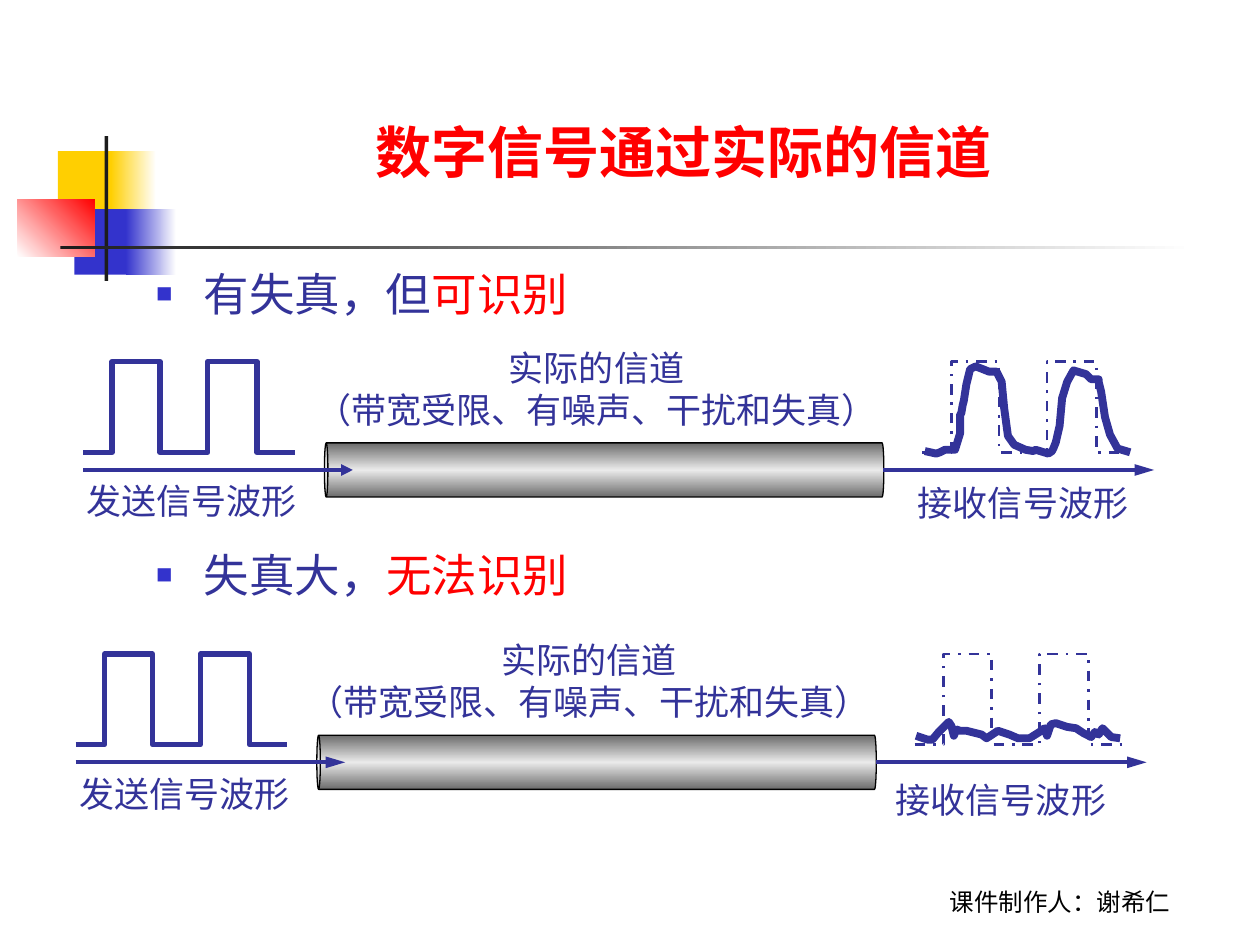
from lxml import etree
from pptx import Presentation
from pptx.dml.color import RGBColor
from pptx.enum.dml import MSO_LINE
from pptx.enum.shapes import MSO_CONNECTOR, MSO_SHAPE
from pptx.enum.text import MSO_ANCHOR, PP_ALIGN
from pptx.oxml.ns import qn
from pptx.util import Pt

PX = 9144
RECT, CAN = MSO_SHAPE.RECTANGLE, MSO_SHAPE.CAN
STRAIGHT, DASH_DOT = MSO_CONNECTOR.STRAIGHT, MSO_LINE.DASH_DOT
LEFT, CENTER = PP_ALIGN.LEFT, PP_ALIGN.CENTER
BOTTOM, TOP = MSO_ANCHOR.BOTTOM, MSO_ANCHOR.TOP

YELLOW = RGBColor(0xFF, 0xCF, 0x01)
BLUE = RGBColor(0x33, 0x33, 0xCC)
INDIGO = RGBColor(0x33, 0x33, 0x99)
RED = RGBColor(0xFF, 0x00, 0x00)
INK = RGBColor(0x1C, 0x1C, 0x1C)
BLACK = RGBColor(0x00, 0x00, 0x00)
WHITE = RGBColor(0xFF, 0xFF, 0xFF)
STEEL = RGBColor(0x6C, 0x6C, 0x6C)
SHINE = RGBColor(0xEA, 0xEA, 0xEA)

PULSES = [(0, 72), (23, 72), (23, 0), (61, 0), (61, 72), (99, 72),
          (99, 0), (138, 0), (138, 72), (168, 72)]
READABLE_WAVE = [
    (2, 71), (11, 73), (14, 72), (18, 70), (26, 70), (30, 57), (30, 42), (31, 41),
    (32, 35), (33, 31), (35, 18), (38, 6), (42, 4), (43, 4), (53, 8), (59, 8),
    (63, 16), (65, 37), (68, 59), (73, 66), (82, 70), (88, 71), (90, 70), (100, 73),
    (103, 71), (104, 69), (106, 64), (109, 51), (111, 29), (115, 16), (120, 7),
    (130, 10), (134, 14), (140, 14), (140, 16), (142, 24), (145, 44), (149, 58),
    (155, 69), (165, 72)]
LOST_WAVE = [
    (1, 65), (10, 68), (14, 68), (19, 62), (27, 54), (29, 57), (31, 65), (33, 60),
    (36, 61), (41, 61), (53, 64), (57, 67), (66, 61), (75, 64), (82, 67), (91, 67),
    (99, 62), (103, 59), (105, 65), (108, 56), (112, 55), (121, 58), (128, 59),
    (134, 63), (140, 66), (143, 62), (146, 64), (149, 59), (156, 66), (163, 67)]


def add_child(parent, tag, **attributes):
    """Append one DrawingML element and return it."""
    return etree.SubElement(parent, qn(tag), attributes)


def add_filled(page, kind, box, colors, angle=0):
    """Place a borderless shape with a solid or evenly stepped gradient fill."""
    shape = page.shapes.add_shape(kind, *(n * PX for n in box))
    shape.shadow.inherit = False
    shape.line.fill.background()
    shape.fill.solid()
    shape.fill.fore_color.rgb = colors[0]
    if len(colors) > 1:
        solid = shape._element.spPr.find(qn("a:solidFill"))
        gradient = etree.Element(qn("a:gradFill"), rotWithShape="0")
        stops = add_child(gradient, "a:gsLst")
        for index, color in enumerate(colors):
            position = index * 100000 // (len(colors) - 1)
            stop = add_child(stops, "a:gs", pos=str(position))
            add_child(stop, "a:srgbClr", val=str(color))
        add_child(gradient, "a:lin", ang=str(angle * 60000), scaled="0")
        solid.getparent().replace(solid, gradient)
    return shape


def add_span(para, text, size, font, color, bold=False):
    """Append one formatted run."""
    span = para.add_run()
    span.text = text
    span.font.size = Pt(size)
    span.font.name = font
    span.font.color.rgb = color
    span.font.bold = bold


def add_label(page, box, lines, size=20, font="Noto Sans CJK SC", color=INDIGO,
              align=CENTER, wrap=True, anchor=TOP):
    """Place a text box with one paragraph for each line."""
    frame = page.shapes.add_textbox(*(n * PX for n in box)).text_frame
    frame.word_wrap = wrap
    frame.vertical_anchor = anchor
    for index, line in enumerate(lines):
        para = frame.add_paragraph() if index else frame.paragraphs[0]
        para.alignment = align
        add_span(para, line, size, font, color)


def add_trace(page, left, top, points, weight, dash=None):
    """Draw an open signal trace from points relative to its corner."""
    placed = [((left + x) * PX, (top + y) * PX) for x, y in points]
    builder = page.shapes.build_freeform(*placed[0])
    builder.add_line_segments(placed[1:], close=False)
    trace = builder.convert_to_shape()
    trace.shadow.inherit = False
    trace.fill.background()
    trace.line.color.rgb = INDIGO
    trace.line.width = Pt(weight)
    if dash:
        trace.line.dash_style = dash


def add_arrow(page, left, top, length, head):
    """Draw a level arrow to the right with the given head length."""
    arrow = page.shapes.add_connector(
        STRAIGHT, left * PX, top * PX, (left + length) * PX, top * PX)
    arrow.line.color.rgb = INDIGO
    arrow.line.width = Pt(2.25)
    add_child(arrow.line._get_or_add_ln(), "a:tailEnd", type="triangle", w="med", len=head)
    add_child(arrow._element.spPr, "a:effectLst")


def add_ornament(page, left, top):
    """Place the coloured blocks and the crossed bars beside the title."""
    parts = [
        ((32, 12, 48, 52), [YELLOW], 0),
        ((74, 12, 36, 52), [YELLOW, WHITE], 0),
        ((45, 58, 46, 52), [BLUE], 0),
        ((86, 58, 40, 52), [BLUE, WHITE], 0),
        ((0, 50, 61, 46), [WHITE, RED], 315),
        ((69, 0, 3, 115), [INK], 0),
        ((34, 87, 900, 3), [INK, WHITE], 0)]
    for (x, y, width, height), colors, angle in parts:
        add_filled(page, RECT, (left + x, top + y, width, height), colors, angle)


def add_title(page, box, text):
    """Move and format the title placeholder."""
    title = page.shapes.title
    title.left, title.top, title.width, title.height = (n * PX for n in box)
    title.text_frame.vertical_anchor = BOTTOM
    para = title.text_frame.paragraphs[0]
    para.alignment = CENTER
    add_span(para, text, 32, "Arial", RED, bold=True)


def add_findings(page, box, findings):
    """Place the two bulleted findings, one above each channel."""
    frame = page.shapes.add_textbox(*(n * PX for n in box)).text_frame
    frame.word_wrap = True
    for index, (cause, result) in enumerate(findings):
        para = frame.add_paragraph() if index else frame.paragraphs[0]
        para.line_spacing = 1.1
        if index:
            para.space_before = Pt(126)
        properties = para._p.get_or_add_pPr()
        properties.set("marL", str(38 * PX))
        properties.set("indent", str(-38 * PX))
        add_child(add_child(properties, "a:buClr"), "a:srgbClr", val=str(BLUE))
        add_child(properties, "a:buSzPct", val="60000")
        add_child(properties, "a:buFont", typeface="Arial")
        add_child(properties, "a:buChar", char="■")
        add_span(para, cause, 26, "Arial", INDIGO)
        add_span(para, result, 26, "Arial", RED)


def add_channel(page, left, top, wave, head, received_box):
    """Draw one channel with its sent pulses, received wave and labels."""
    pipe = add_filled(page, CAN, (left + 392, top - 136, 43, 444), [STEEL, SHINE, STEEL], 90)
    pipe.rotation = 270
    pipe.adjustments[0] = 0.065
    pipe.line.color.rgb = BLACK
    pipe.line.width = Pt(0.75)
    add_trace(page, left, top, PULSES, 3)
    add_arrow(page, left, top + 86, 214, head)
    add_trace(page, left + 666, top, PULSES, 1.5, DASH_DOT)
    add_arrow(page, left + 635, top + 86, 215, "lg")
    add_trace(page, left + 666, top, wave, 4.5)
    add_label(page, (left + 175, top - 17, 465, 77),
              ["实际的信道", "（带宽受限、有噪声、干扰和失真）"],
              font="Times New Roman", wrap=False)
    add_label(page, (left - 7, top + 89, 187, 44), ["发送信号波形"], align=LEFT, wrap=False)
    x, y, width = received_box
    add_label(page, (left + x, top + y, width, 44), ["接收信号波形"])


def main():
    """Build the slide and save it."""
    deck = Presentation()
    deck.slide_width, deck.slide_height = 1000 * PX, 750 * PX
    page = deck.slides.add_slide(deck.slide_layouts[5])
    add_ornament(page, 14, 108)
    add_label(page, (683, 682, 317, 50), ["课件制作人：谢希仁"], 14, "Roboto", BLACK,
              anchor=BOTTOM)
    add_title(page, (122, 21, 852, 131), "数字信号通过实际的信道 ")
    add_findings(page, (114, 202, 850, 450),
                 [("有失真，但", "可识别"), ("失真大，", "无法识别")])
    add_channel(page, 66, 287, READABLE_WAVE, "med", (641, 90, 210))
    add_channel(page, 60, 519, LOST_WAVE, "lg", (633, 94, 203))
    deck.save("out.pptx")


if __name__ == "__main__":
    main()
